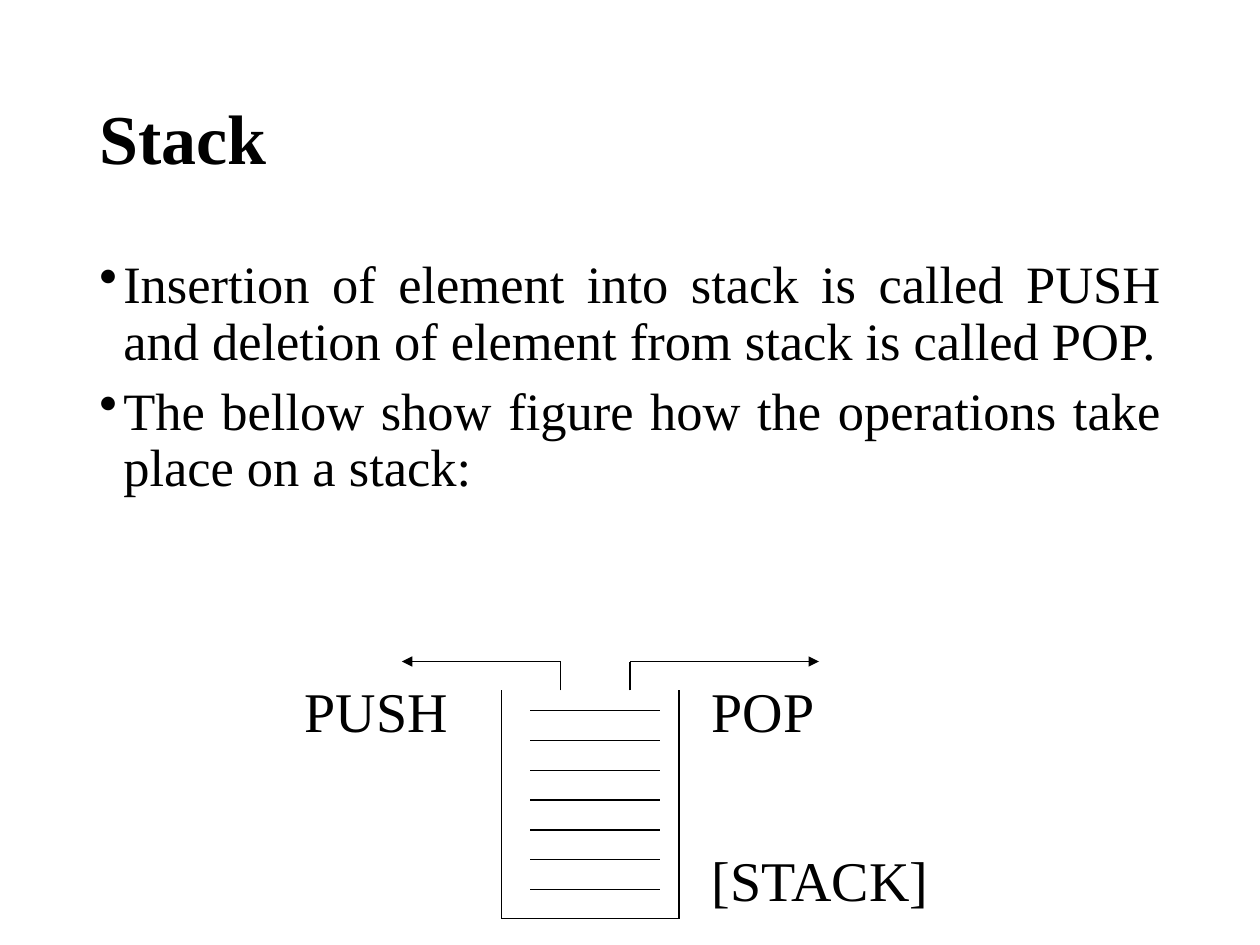
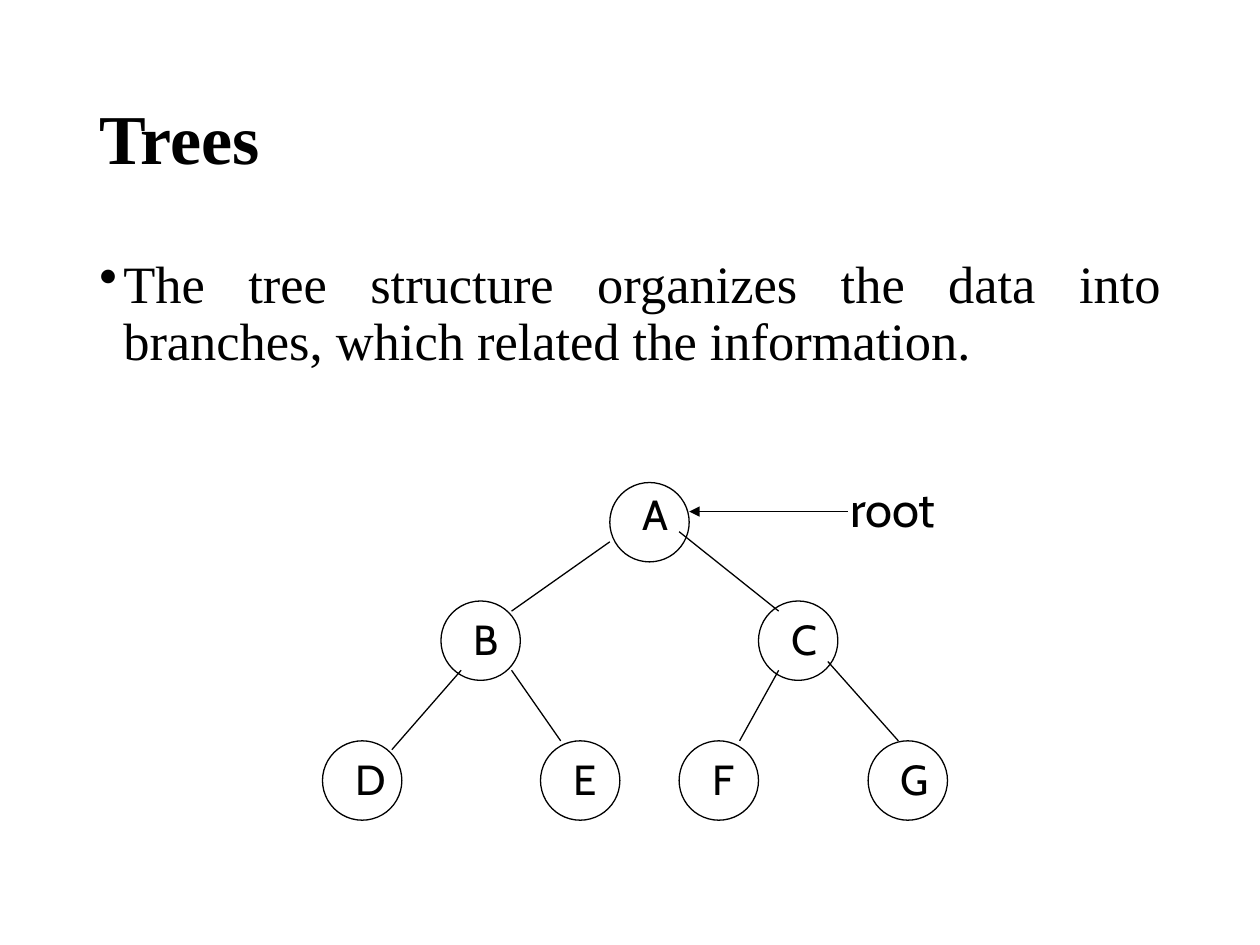
import dataclasses

import pptx
import pptx.dml.color
import pptx.enum.shapes
import pptx.enum.text
import pptx.oxml.ns
import pptx.util
from lxml import etree

Inches = pptx.util.Inches
Pt = pptx.util.Pt
Align = pptx.enum.text.PP_ALIGN
Anchor = pptx.enum.text.MSO_ANCHOR
qn = pptx.oxml.ns.qn


@dataclasses.dataclass(frozen=True)
class Theme:
    ink = pptx.dml.color.RGBColor(0x00, 0x00, 0x00)
    paper = pptx.dml.color.RGBColor(0xFF, 0xFF, 0xFF)
    serif: str = "Times New Roman"
    sans: str = "Cabin"
    title_size: int = 40
    body_size: int = 30
    stack_label_size: int = 32
    node_size: int = 24
    root_size: int = 28
    stroke: float = 0.75


theme = Theme()


def add_text(page, bounds, lines, size, face, before=0, align=Align.LEFT):
    box = page.shapes.add_textbox(*map(Inches, bounds))
    frame = box.text_frame
    frame.word_wrap = True
    frame.text = "\n".join(lines)
    for para in frame.paragraphs:
        para.alignment = align
        para.space_before = Pt(before)
        para.font.size = Pt(size)
        para.font.name = face
        para.font.color.rgb = theme.ink
    return frame


def add_line(page, start, end, arrow=False):
    line = page.shapes.add_connector(
        pptx.enum.shapes.MSO_CONNECTOR.STRAIGHT, *map(Inches, (*start, *end))
    )
    line.line.color.rgb = theme.ink
    line.line.width = Pt(theme.stroke)
    properties = line._element.spPr
    if arrow:
        outline = properties.find(qn("a:ln"))
        etree.SubElement(outline, qn("a:tailEnd"), type="triangle")
    etree.SubElement(properties, qn("a:effectLst"))


deck = pptx.Presentation()
deck.slide_width = Inches(10)
deck.slide_height = Inches(7.5)

topics = {
    "Stack": [
        "Insertion of element into stack is called PUSH and deletion of element from stack is called POP.",
        "The bellow show figure how the operations take place on a stack:",
    ],
    "Trees": [
        "The tree structure organizes the data into branches, which related the information.",
    ],
}
pages = {}
for title, bullets in topics.items():
    page = deck.slides.add_slide(deck.slide_layouts[6])
    page.background.fill.solid()
    page.background.fill.fore_color.rgb = theme.paper
    pages[title] = page

    heading = add_text(page, (0.69, 0.4, 8.63, 1.45), [title], theme.title_size, theme.serif)
    heading.vertical_anchor = Anchor.MIDDLE
    heading.paragraphs[0].font.bold = True
    heading.paragraphs[0].line_spacing = 0.9

    body = add_text(page, (0.69, 2, 8.63, 4.76), bullets, theme.body_size, theme.serif, 7.5, Align.JUSTIFY)
    for para in body.paragraphs:
        para.line_spacing = 0.9
        layout = para._p.get_or_add_pPr()
        layout.set("marL", str(Inches(0.19)))
        layout.set("indent", str(-Inches(0.19)))
        bullet = etree.Element(qn("a:buChar"), char="•")
        layout.insert_element_before(bullet, "a:tabLst", "a:defRPr", "a:extLst")

stack = pages["Stack"]
left, right, top, bottom = 3.98, 5.39, 5.48, 7.29
for side in (left, right):
    add_line(stack, (side, top), (side, bottom))
add_line(stack, (left, bottom), (right, bottom))

for row in range(7):
    level = 5.64 + row * 1.42 / 6
    add_line(stack, (4.21, level), (5.24, level))

arrow_level = 5.25
for stem, tip in ((4.45, 3.19), (5, 6.5)):
    add_line(stack, (stem, top), (stem, arrow_level))
    add_line(stack, (stem, arrow_level), (tip, arrow_level), arrow=True)

for label, x, y, width in (("PUSH", 2.32, 5.32, 1.57), ("POP", 5.55, 5.32, 1.34), ("[STACK]", 5.55, 6.66, 2.52)):
    add_text(stack, (x, y, width, 0.64), [label], theme.stack_label_size, theme.serif, 20)

tree = pages["Trees"]
diameter = 0.63
nodes = {
    "A": (4.84, 3.83),
    "B": (3.5, 4.77),
    "C": (6.02, 4.77),
    "D": (2.56, 5.88),
    "E": (4.29, 5.88),
    "F": (5.39, 5.88),
    "G": (6.89, 5.88),
}
for letter, (x, y) in nodes.items():
    circle = tree.shapes.add_shape(
        pptx.enum.shapes.MSO_SHAPE.OVAL, *map(Inches, (x, y, diameter, diameter))
    )
    circle.shadow.inherit = False
    circle.fill.solid()
    circle.fill.fore_color.rgb = theme.paper
    circle.line.color.rgb = theme.ink
    circle.line.width = Pt(theme.stroke)
    drop = 0 if letter == "A" else 0.05
    add_text(tree, (x + 0.16, y + drop, 0.39, 0.5), [letter], theme.node_size, theme.sans, 15, Align.CENTER)

branches = (
    ((4.84, 4.3), (4.06, 4.85)),
    ((5.39, 4.22), (6.18, 4.85)),
    ((3.66, 5.32), (3.11, 5.95)),
    ((4.06, 5.32), (4.45, 5.88)),
    ((6.18, 5.32), (5.87, 5.88)),
    ((6.57, 5.25), (7.13, 5.88)),
)
for parent, child in branches:
    add_line(tree, parent, child)

add_line(tree, (6.73, 4.06), (5.47, 4.06), arrow=True)
add_text(tree, (6.65, 3.75, 1.1, 0.57), ["root"], theme.root_size, theme.sans, 17.5)

deck.save("out.pptx")
